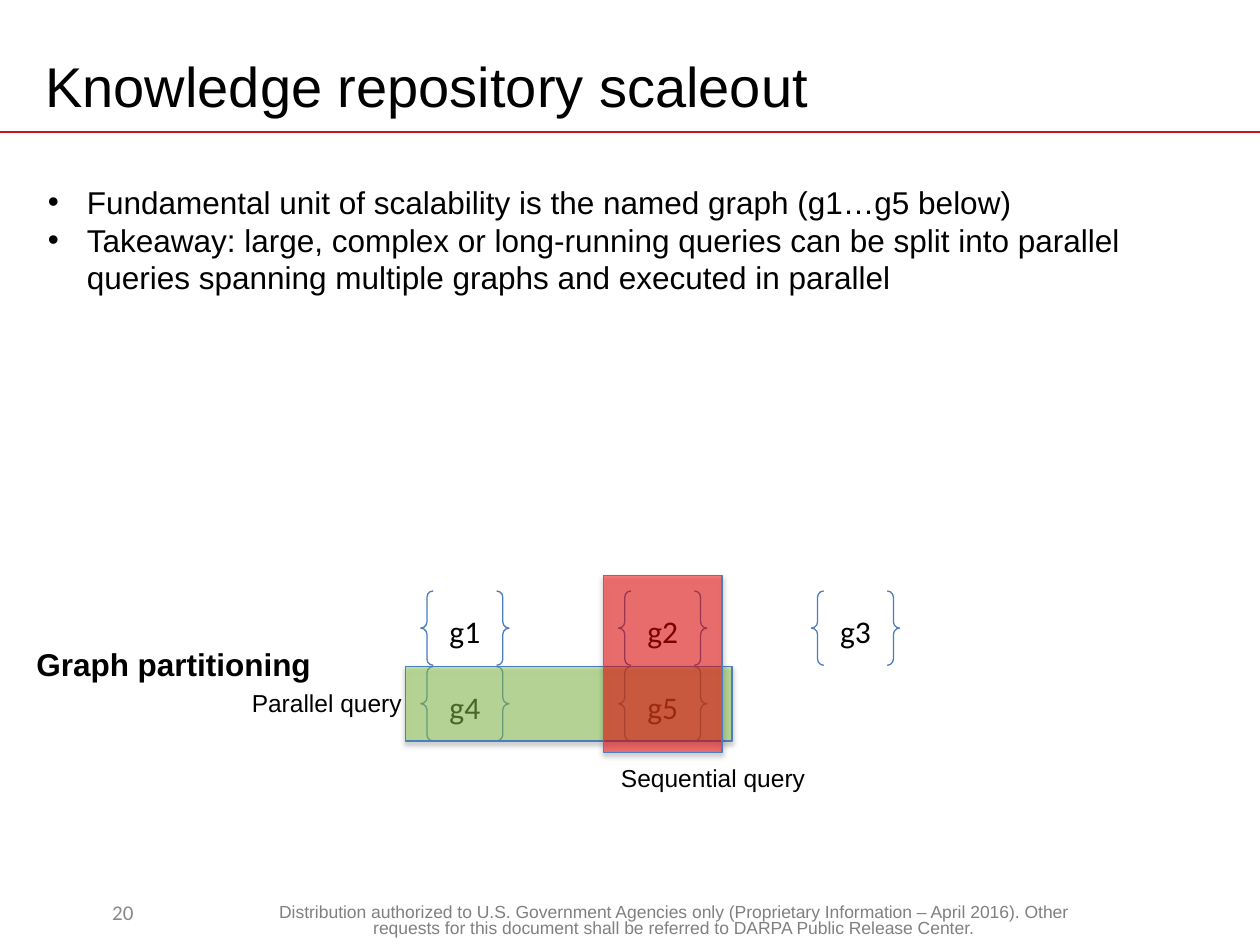
"""Builds the slide on scaling out a knowledge repository by graph partitioning."""
from dataclasses import dataclass

from lxml import etree
from pptx import Presentation
from pptx.dml.color import RGBColor
from pptx.enum.shapes import MSO_CONNECTOR, MSO_SHAPE
from pptx.enum.text import MSO_ANCHOR, MSO_AUTO_SIZE, PP_ALIGN
from pptx.oxml import parse_xml
from pptx.oxml.ns import nsdecls, qn
from pptx.util import Inches, Pt

LEFT, CENTER = PP_ALIGN.LEFT, PP_ALIGN.CENTER
TOP, MIDDLE = MSO_ANCHOR.TOP, MSO_ANCHOR.MIDDLE
FIXED, GROW = MSO_AUTO_SIZE.NONE, MSO_AUTO_SIZE.SHAPE_TO_FIT_TEXT
BRACES, PROCESS = MSO_SHAPE.DOUBLE_BRACE, MSO_SHAPE.FLOWCHART_PROCESS
STRAIGHT = MSO_CONNECTOR.STRAIGHT


@dataclass(frozen=True)
class Theme:
    sans: str = "Arial"
    graph_font: str = "Calibri"
    ink: str = "000000"
    footer_gray: str = "808080"
    number_gray: str = "898989"
    rule: str = "CE1126"
    outline: str = "4B7EBC"
    parallel: str = "92D050"
    sequential: str = "FF0000"
    title: int = 32
    body: int = 18
    label: int = 14
    number: int = 12
    footer: int = 10


THEME = Theme()
WIDTH, HEIGHT = 10, 7.5

TITLE = "Knowledge repository scaleout"
BULLETS = [
    "Fundamental unit of scalability is the named graph (g1…g5 below)",
    "Takeaway: large, complex or long-running queries can be split into parallel "
    "queries spanning multiple graphs and executed in parallel",
]
FOOTER = ("Distribution authorized to U.S. Government Agencies only (Proprietary Information "
          "– April 2016). Other requests for this document shall be referred to DARPA "
          "Public Release Center.")
PAGE_NUMBER = "20"
GRAPH_ROWS = [["g1", "g2", "g3"], ["g4", "g5"]]
LABELS = [
    ("Graph partitioning", (0.19, 5.07, 2.4, 0.4), THEME.body, True),
    ("Parallel query", (1.9, 5.41, 1.4, 0.34), THEME.label, False),
    ("Sequential query", (4.83, 6.01, 1.67, 0.34), THEME.label, False),
]

COLUMNS, ROWS = (3.34, 4.91, 6.44), (4.69, 5.29)
CELL_WIDTH, CELL_HEIGHT = 0.7, 0.59
QUERIES = [
    {"color": THEME.parallel, "first": (0, 1), "last": (1, 1), "pad": (0.12, 0, 0.2, 0)},
    {"color": THEME.sequential, "first": (1, 0), "last": (1, 1), "pad": (0.12, 0.12, 0.12, 0.09)},
]


def place(part, box):
    part.left, part.top, part.width, part.height = map(Inches, box)


def write(part, *texts, size, font=THEME.sans, color=THEME.ink, bold=False, align=LEFT,
          anchor=TOP, wrap=True, fit=FIXED, spacing=1.0, bullet=None):
    frame = part.text_frame
    frame.word_wrap, frame.auto_size, frame.vertical_anchor = wrap, fit, anchor
    for index, text in enumerate(texts):
        paragraph = frame.add_paragraph() if index else frame.paragraphs[0]
        paragraph.alignment = align
        paragraph.line_spacing, paragraph.space_before = spacing, Pt(0)
        if bullet:
            properties = paragraph._p.get_or_add_pPr()
            properties.set("marL", str(Inches(0.31)))
            properties.set("indent", str(-Inches(0.31)))
            etree.SubElement(properties, qn("a:buFont")).set("typeface", THEME.sans)
            etree.SubElement(properties, qn("a:buChar")).set("char", bullet)
        run = paragraph.add_run()
        run.text = text
        run.font.name, run.font.size, run.font.bold = font, Pt(size), bold
        run.font.color.rgb = RGBColor.from_string(color)


def add_text(slide, text, box, **style):
    write(slide.shapes.add_textbox(*map(Inches, box)), text, **style)


def add_outlined(slide, kind, box):
    shape = slide.shapes.add_shape(kind, *map(Inches, box))
    shape.shadow.inherit = False
    shape.line.color.rgb = RGBColor.from_string(THEME.outline)
    shape.line.width = Pt(0.75)
    return shape


def add_graph(slide, name, column, row):
    graph = add_outlined(slide, BRACES, (COLUMNS[column], ROWS[row], CELL_WIDTH, CELL_HEIGHT))
    graph.fill.background()
    write(graph, name, size=THEME.body, font=THEME.graph_font, align=CENTER, anchor=MIDDLE)


def add_query(slide, color, first, last, pad):
    before, above, after, below = pad
    left, top = COLUMNS[first[0]] - before, ROWS[first[1]] - above
    right = COLUMNS[last[0]] + CELL_WIDTH + after
    bottom = ROWS[last[1]] + CELL_HEIGHT + below
    query = add_outlined(slide, PROCESS, (left, top, right - left, bottom - top))
    query.fill.solid()
    query.fill.fore_color.rgb = RGBColor.from_string(color)
    tint = query._element.spPr.find(qn("a:solidFill"))[0]
    etree.SubElement(tint, qn("a:alpha")).set("val", "49000")
    query._element.spPr.find(qn("a:effectLst")).append(parse_xml(
        f'<a:outerShdw {nsdecls("a")} blurRad="{Pt(3.1)}" dist="{Pt(1.8)}" dir="5400000" '
        'rotWithShape="0"><a:srgbClr val="000000"><a:alpha val="35000"/></a:srgbClr>'
        '</a:outerShdw>'))


def add_rule(slide, y):
    rule = slide.shapes.add_connector(STRAIGHT, 0, Inches(y), Inches(WIDTH), Inches(y))
    rule.line.color.rgb = RGBColor.from_string(THEME.rule)
    rule.line.width = Pt(1)
    etree.SubElement(rule._element.spPr, qn("a:effectLst"))


def main():
    deck = Presentation()
    deck.slide_width, deck.slide_height = Inches(WIDTH), Inches(HEIGHT)
    slide = deck.slides.add_slide(deck.slide_layouts[1])
    title, body = slide.placeholders
    place(title, (0.26, 0.3, 9, 0.75))
    write(title, TITLE, size=THEME.title, anchor=MIDDLE)
    place(body, (0.28, 1.4, 9.02, 1.01))
    write(body, *BULLETS, size=THEME.body, bullet="•")

    add_rule(slide, 1.05)
    add_text(slide, FOOTER, (2.11, 7.13, 6.47, 0.31), size=THEME.footer,
             color=THEME.footer_gray, align=CENTER, spacing=0.8)
    add_text(slide, PAGE_NUMBER, (0.28, 7.04, 1.39, 0.4), size=THEME.number,
             font=THEME.graph_font, color=THEME.number_gray, align=CENTER, anchor=MIDDLE)

    for row, names in enumerate(GRAPH_ROWS):
        for column, name in enumerate(names):
            add_graph(slide, name, column, row)
    for query in QUERIES:
        add_query(slide, **query)
    for text, box, size, bold in LABELS:
        add_text(slide, text, box, size=size, bold=bold, wrap=False, fit=GROW)
    deck.save("out.pptx")


if __name__ == "__main__":
    main()
